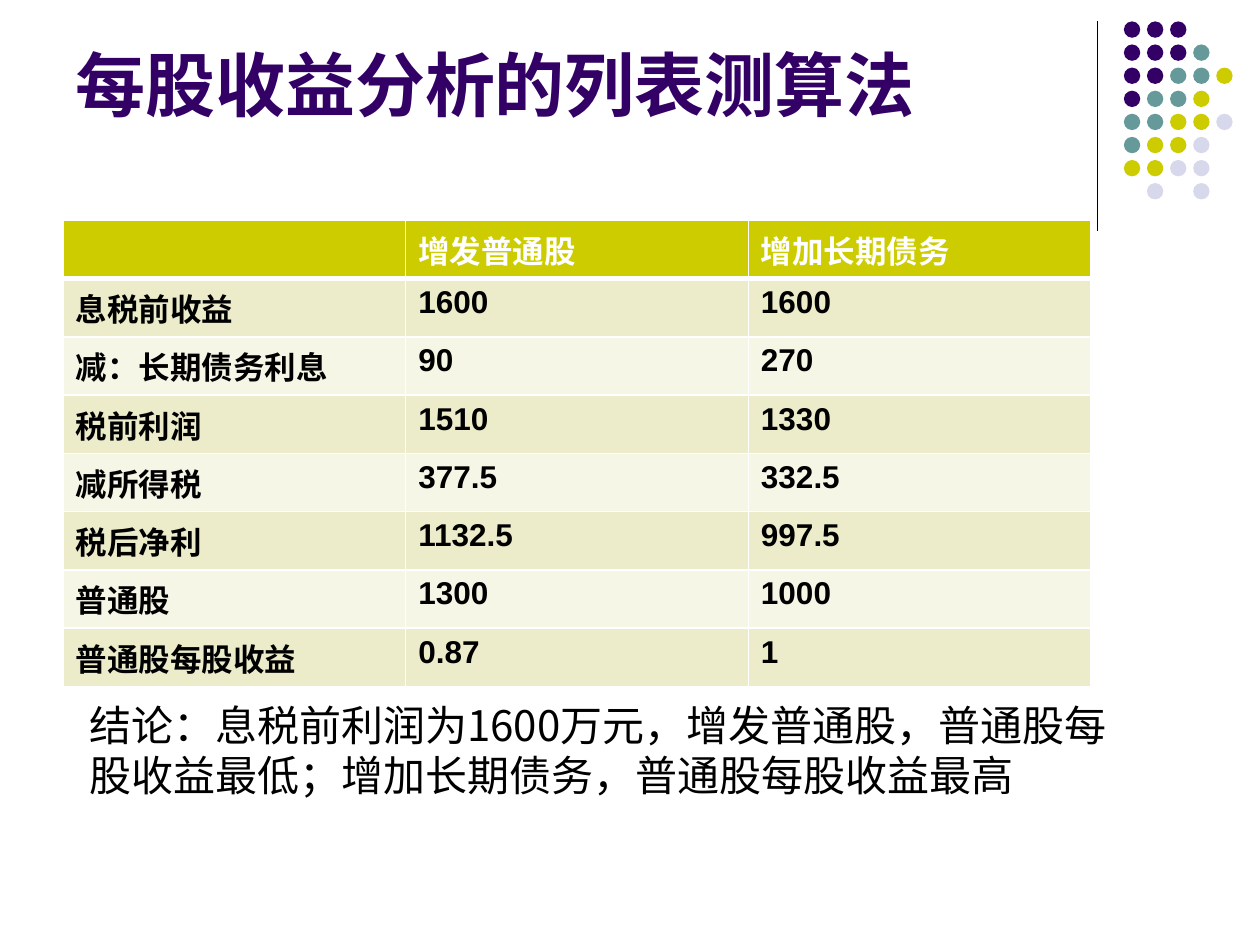
"""Build the slide on the tabular earnings-per-share analysis."""
from lxml.etree import SubElement
from pptx import Presentation
from pptx.dml.color import RGBColor
from pptx.enum.shapes import MSO_CONNECTOR, MSO_SHAPE
from pptx.enum.text import MSO_ANCHOR
from pptx.oxml.ns import qn
from pptx.util import Inches, Pt

PURPLE = RGBColor(0x33, 0x00, 0x66)
TEAL = RGBColor(0x66, 0x99, 0x99)
OLIVE = RGBColor(0xCC, 0xCC, 0x00)
LAVENDER = RGBColor(0xD8, 0xD8, 0xEC)
BAND_DARK = RGBColor(0xEC, 0xEC, 0xCB)
BAND_LIGHT = RGBColor(0xF6, 0xF6, 0xE7)
BLACK = RGBColor(0x00, 0x00, 0x00)
WHITE = RGBColor(0xFF, 0xFF, 0xFF)

LATIN_FONT = "Arial"
CJK_FONT = "Noto Sans CJK SC"

TITLE = "每股收益分析的列表测算法"
EARNINGS = [
    ("", "增发普通股", "增加长期债务"),
    ("息税前收益", "1600", "1600"),
    ("减：长期债务利息", "90", "270"),
    ("税前利润", "1510", "1330"),
    ("减所得税", "377.5", "332.5"),
    ("税后净利", "1132.5", "997.5"),
    ("普通股", "1300", "1000"),
    ("普通股每股收益", "0.87", "1"),
]
CONCLUSION = "结论：息税前利润为1600万元，增发普通股，普通股每股收益最低；增加长期债务，普通股每股收益最高"

DOT_ROWS = ["PPP", "PPPT", "PPTTO", "PTTO", "TTOOL", "TOOL", "OOLL", " L L"]
DOT_COLOURS = {"P": PURPLE, "T": TEAL, "O": OLIVE, "L": LAVENDER}
DOT_SIZE = Inches(0.13)
DOT_PITCH = Inches(0.55) / 3


def add_text(frame, text, size, colour, font=LATIN_FONT, bold=False):
    run = frame.paragraphs[0].add_run()
    run.text = text
    run.font.size = Pt(size)
    run.font.bold = bold
    run.font.name = font
    run.font.color.rgb = colour
    SubElement(run.font._element, qn("a:ea"), typeface=CJK_FONT)


def add_borders(cell, widths):
    properties = cell._tc.get_or_add_tcPr()
    for side, width in zip("LRTB", widths):
        border = SubElement(properties, qn(f"a:ln{side}"), w=str(Pt(width)))
        fill = SubElement(border, qn("a:solidFill"))
        SubElement(fill, qn("a:srgbClr"), val=str(WHITE))


def add_dots(slide):
    for row, letters in enumerate(DOT_ROWS):
        for column, letter in enumerate(letters):
            if letter not in DOT_COLOURS:
                continue
            left = Inches(8.92) + round(column * DOT_PITCH)
            top = Inches(0.17) + round(row * DOT_PITCH)
            dot = slide.shapes.add_shape(MSO_SHAPE.OVAL, left, top, DOT_SIZE, DOT_SIZE)
            dot.shadow.inherit = False
            dot.fill.solid()
            dot.fill.fore_color.rgb = DOT_COLOURS[letter]
            dot.line.fill.background()


def add_earnings_table(slide):
    table = slide.shapes.add_table(
        len(EARNINGS), len(EARNINGS[0]),
        Inches(0.5), Inches(1.75), Inches(8.16), Inches(3.7),
    ).table
    for row, values in enumerate(EARNINGS):
        if row == 0:
            fill, colour = OLIVE, WHITE
        else:
            fill, colour = (BAND_DARK if row % 2 else BAND_LIGHT), BLACK
        for column, value in enumerate(values):
            cell = table.cell(row, column)
            add_borders(cell, (1, 1, 3 if row == 1 else 1, 3 if row == 0 else 1))
            cell.fill.solid()
            cell.fill.fore_color.rgb = fill
            if value:
                add_text(cell.text_frame, value, 18, colour, bold=True)


def main():
    presentation = Presentation()
    presentation.slide_width = Inches(10)
    presentation.slide_height = Inches(7.5)
    slide = presentation.slides.add_slide(presentation.slide_layouts[6])

    divider = slide.shapes.add_connector(
        MSO_CONNECTOR.STRAIGHT, Inches(8.71), Inches(0.17), Inches(8.71), Inches(1.83))
    divider.line.color.rgb = BLACK
    divider.line.width = Pt(0.75)
    SubElement(divider._element.spPr, qn("a:effectLst"))
    add_dots(slide)

    title = slide.shapes.add_textbox(
        Inches(0.5), Inches(0.36), Inches(8.25), Inches(1.34)).text_frame
    title.word_wrap = True
    title.vertical_anchor = MSO_ANCHOR.BOTTOM
    title.margin_bottom = Inches(0.7)
    add_text(title, TITLE, 40, PURPLE, bold=True)

    add_earnings_table(slide)

    conclusion = slide.shapes.add_textbox(
        Inches(0.61), Inches(5.5), Inches(8.35), Inches(0.9)).text_frame
    conclusion.word_wrap = True
    add_text(conclusion, CONCLUSION, 24, BLACK, font=CJK_FONT)

    presentation.save("out.pptx")


if __name__ == "__main__":
    main()
